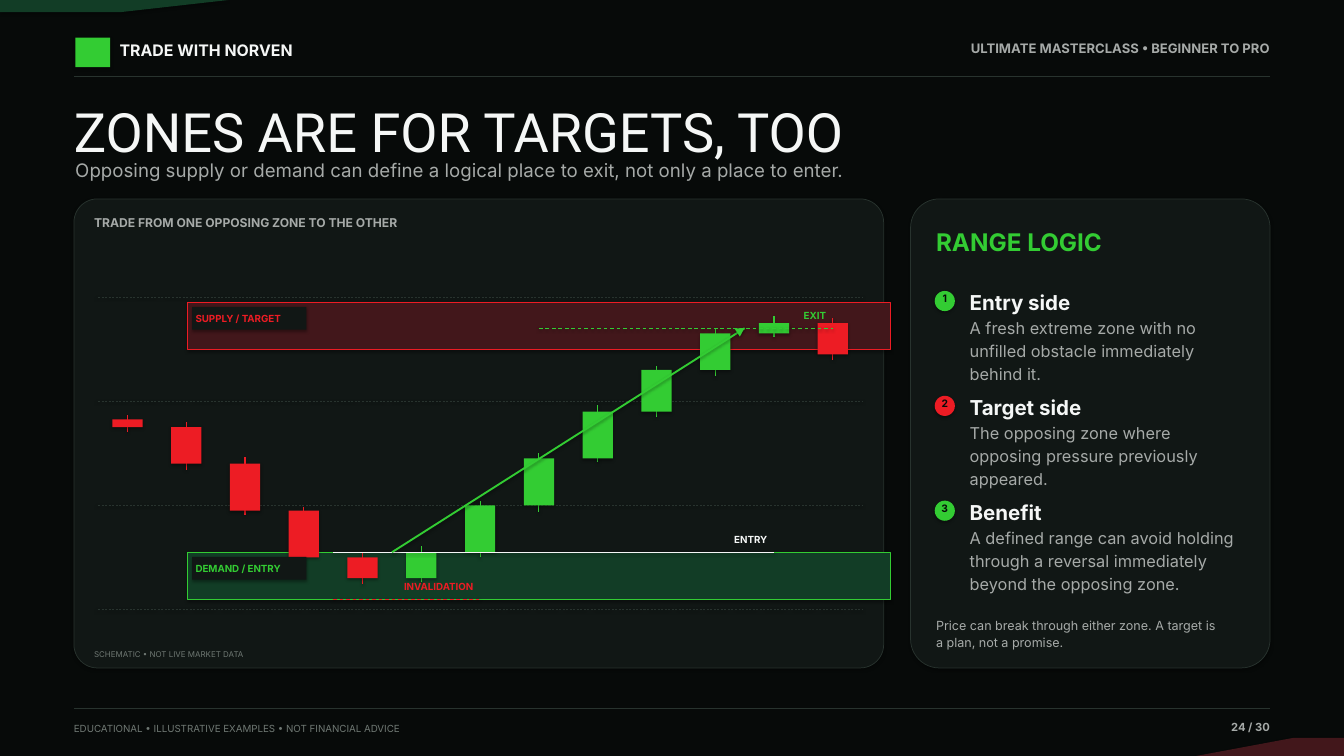
"""Builds the trading zones slide with a candle diagram and a range logic panel."""
import pptx
import pptx.dml.color
import pptx.enum.dml
import pptx.enum.shapes
import pptx.enum.text
import pptx.util

Inches = pptx.util.Inches
Pt = pptx.util.Pt
SHAPES = pptx.enum.shapes.MSO_SHAPE
ALIGN = pptx.enum.text.PP_ALIGN

COLOURS = {
    "ground": "070A09", "panel": "111715", "rule": "28332E", "white": "F5F7F6",
    "grey": "A6AAA8", "dim": "6F7873", "green": "33CC33", "red": "ED1C24",
    "dark green": "123D26", "dark red": "42171B",
}

TITLE = "ZONES ARE FOR TARGETS, TOO"

# (text, left, top, width, height, size, colour, bold, align)
TEXTS = [
    ("TRADE WITH NORVEN", 1.78, 0.56, 3.9, 0.34, 17, "white", True, "left"),
    ("ULTIMATE MASTERCLASS • BEGINNER TO PRO", 14, 0.56, 4.9, 0.32, 14, "grey", True, "right"),
    ("EDUCATIONAL • ILLUSTRATIVE EXAMPLES • NOT FINANCIAL ADVICE",
     1.1, 10.72, 8, 0.25, 10.5, "dim", False, "left"),
    ("24 / 30", 17.2, 10.68, 1.7, 0.28, 12, "grey", True, "right"),
    ("Opposing supply or demand can define a logical place to exit, not only a place to enter.",
     1.12, 2.3, 17.2, 0.43, 20, "grey", False, "left"),
    ("TRADE FROM ONE OPPOSING ZONE TO THE OTHER",
     1.4, 3.16, 11.45, 0.28, 13, "grey", True, "left"),
    ("SCHEMATIC • NOT LIVE MARKET DATA", 1.4, 9.64, 11.45, 0.18, 8.5, "dim", False, "left"),
    ("RANGE LOGIC", 13.93, 3.3, 4.6, 0.68, 26, "green", True, "left"),
    ("Price can break through either zone. A target is\na plan, not a promise.",
     13.93, 9.15, 4.52, 0.48, 13.5, "grey", False, "left"),
]

CORNERS = [
    ("dark green", [(0, 0), (3.4, 0), (1.8, 0.18), (0, 0.18)]),
    ("dark red", [(20, 11.25), (17.8, 11.25), (19.25, 10.98), (20, 10.98)]),
]
PANELS = [(1.1, 12.05, 0.05), (13.55, 5.35, 0.08)]

GRID_PRICES = [20, 40, 60, 80]
FIRST_OPEN = 56.5
# (high, low, close); each candle opens at the previous close
CANDLES = [
    (57.3, 54.1, 55), (56, 46.8, 48), (49.2, 38.2, 39), (39.7, 29, 30), (31, 24.8, 26),
    (32.1, 25.2, 31), (40.8, 30, 40), (50, 38.8, 49), (59.2, 48.3, 58), (66.8, 57, 66),
    (74, 64.8, 73), (76.3, 72.3, 75), (75.9, 68, 69),
]
# (label, high, low, fill, accent)
ZONES = [
    ("DEMAND / ENTRY", 31, 22, "dark green", "green"),
    ("SUPPLY / TARGET", 79, 70, "dark red", "red"),
]
# (label, price, first slot, last slot, colour, width, dashed)
LEVELS = [
    ("ENTRY", 31, 4, 11.5, "white", 1.1, False),
    ("INVALIDATION", 22, 4, 6.5, "red", 1, True),
    ("EXIT", 74, 7.5, 12.5, "green", 1, True),
]
ARROW_HEAD = [(11.08, 4.88), (10.93, 4.89), (11.01, 5.01)]

POINTS = [
    ("Entry side", "A fresh extreme zone with no\nunfilled obstacle immediately\nbehind it.", "green"),
    ("Target side", "The opposing zone where\nopposing pressure previously\nappeared.", "red"),
    ("Benefit", "A defined range can avoid holding\nthrough a reversal immediately\nbeyond the opposing zone.", "green"),
]

PLOT_LEFT, PLOT_RIGHT, PLOT_BOTTOM = 1.46, 12.83, 9.07
SLOT = (PLOT_RIGHT - PLOT_LEFT) / len(CANDLES)
PRICE_UNIT = 1.55 / 20
CANDLE_WIDTH = 0.45
ZONE_LEFT, ZONE_WIDTH = 2.79, 10.46
POINT_TOP, POINT_STEP = 4.25, 1.56


def colour(name):
    return pptx.dml.color.RGBColor.from_string(COLOURS[name])


def slot_x(slot):
    return PLOT_LEFT + slot * SLOT


def price_y(price):
    return PLOT_BOTTOM - (price - GRID_PRICES[0]) * PRICE_UNIT


def paint(shape, fill, line=None, width=0.8):
    shape.fill.solid()
    shape.fill.fore_color.rgb = colour(fill)
    if line:
        shape.line.color.rgb = colour(line)
        shape.line.width = Pt(width)
    else:
        shape.line.fill.background()


def add_box(slide, kind, left, top, width, height, fill, line=None, line_width=0.8):
    shape = slide.shapes.add_shape(kind, Inches(left), Inches(top), Inches(width), Inches(height))
    paint(shape, fill, line, line_width)
    return shape


def add_outline(slide, fill, points):
    corners = [(Inches(x), Inches(y)) for x, y in points]
    builder = slide.shapes.build_freeform(*corners[0], scale=1.0)
    builder.add_line_segments(corners[1:], close=True)
    paint(builder.convert_to_shape(), fill)


def add_line(slide, x1, y1, x2, y2, name, width, dashed=False):
    line = slide.shapes.add_connector(
        pptx.enum.shapes.MSO_CONNECTOR.STRAIGHT, Inches(x1), Inches(y1), Inches(x2), Inches(y2))
    line.line.color.rgb = colour(name)
    line.line.width = Pt(width)
    if dashed:
        line.line.dash_style = pptx.enum.dml.MSO_LINE.DASH


def write(shape, text, size, name, bold, align, font="Inter", spacing=1.18):
    frame = shape.text_frame
    frame.margin_left = frame.margin_right = frame.margin_top = frame.margin_bottom = 0
    frame.vertical_anchor = pptx.enum.text.MSO_ANCHOR.TOP
    frame.word_wrap = False
    frame.auto_size = pptx.enum.text.MSO_AUTO_SIZE.SHAPE_TO_FIT_TEXT
    frame.text = text
    for paragraph in frame.paragraphs:
        paragraph.alignment = getattr(ALIGN, align.upper())
        paragraph.line_spacing = spacing
        for run in paragraph.runs:
            run.font.name = font
            run.font.size = Pt(size)
            run.font.bold = bold
            run.font.color.rgb = colour(name)


def add_text(slide, text, left, top, width, height, size, name, bold=False, align="left"):
    box = slide.shapes.add_textbox(Inches(left), Inches(top), Inches(width), Inches(height))
    write(box, text, size, name, bold, align)


def add_title(slide):
    title = slide.shapes.title
    title.left, title.top, title.width, title.height = map(Inches, (1.1, 1.46, 17.8, 0.88))
    write(title, TITLE, 58, "white", False, "left", "Roboto", 1.0)


def add_frame(slide):
    for fill, points in CORNERS:
        add_outline(slide, fill, points)
    add_box(slide, SHAPES.RECTANGLE, 1.12, 0.56, 0.52, 0.44, "green")
    for y in (1.13, 10.54):
        add_line(slide, 1.1, y, 18.9, y, "rule", 0.8)
    for left, width, radius in PANELS:
        panel = add_box(slide, SHAPES.ROUNDED_RECTANGLE, left, 2.96, width, 6.98, "panel", "rule")
        panel.adjustments[0] = radius
    for text in TEXTS:
        add_text(slide, *text)


def add_diagram(slide):
    for price in GRID_PRICES:
        add_line(slide, PLOT_LEFT, price_y(price), PLOT_RIGHT, price_y(price), "rule", 0.55, True)
    for label, high, low, fill, accent in ZONES:
        add_box(slide, SHAPES.RECTANGLE, ZONE_LEFT, price_y(high), ZONE_WIDTH,
                (high - low) * PRICE_UNIT, fill, accent, 0.9)
    start = FIRST_OPEN
    for index, (high, low, close) in enumerate(CANDLES):
        name = "green" if close > start else "red"
        x = slot_x(index + 0.5)
        add_line(slide, x, price_y(high), x, price_y(low), name, 1.15)
        add_box(slide, SHAPES.RECTANGLE, x - CANDLE_WIDTH / 2, price_y(max(start, close)),
                CANDLE_WIDTH, abs(close - start) * PRICE_UNIT, name)
        start = close
    for label, high, low, fill, accent in ZONES:
        top = price_y(high)
        add_box(slide, SHAPES.RECTANGLE, ZONE_LEFT + 0.07, top + 0.07, 1.7, 0.34, "panel")
        add_text(slide, label, ZONE_LEFT + 0.12, top + 0.12, 1.6, 0.25, 10.5, accent, True)
    for label, price, first, last, name, width, dashed in LEVELS:
        y, right = price_y(price), slot_x(last)
        add_line(slide, slot_x(first), y, right, y, name, width, dashed)
        add_text(slide, label, right - 1.65, y - 0.3, 1.55, 0.24, 10.5, name, True, "right")
    add_line(slide, slot_x(5), price_y(31), slot_x(11), price_y(74), "green", 2)
    add_outline(slide, "green", ARROW_HEAD)


def add_points(slide):
    for index, (heading, body, name) in enumerate(POINTS):
        top = POINT_TOP + index * POINT_STEP
        add_box(slide, SHAPES.OVAL, 13.91, top + 0.08, 0.3, 0.3, name)
        add_text(slide, str(index + 1), 13.93, top + 0.07, 0.26, 0.23, 11, "ground", True, "center")
        add_text(slide, heading, 14.43, top, 4.03, 0.36, 22, "white", True)
        add_text(slide, body, 14.43, top + 0.43, 4.03, 1.08, 17.5, "grey")


def main():
    presentation = pptx.Presentation()
    presentation.slide_width, presentation.slide_height = Inches(20), Inches(11.25)
    slide = presentation.slides.add_slide(presentation.slide_layouts[5])
    slide.background.fill.solid()
    slide.background.fill.fore_color.rgb = colour("ground")
    add_title(slide)
    add_frame(slide)
    add_diagram(slide)
    add_points(slide)
    presentation.save("out.pptx")


if __name__ == "__main__":
    main()
